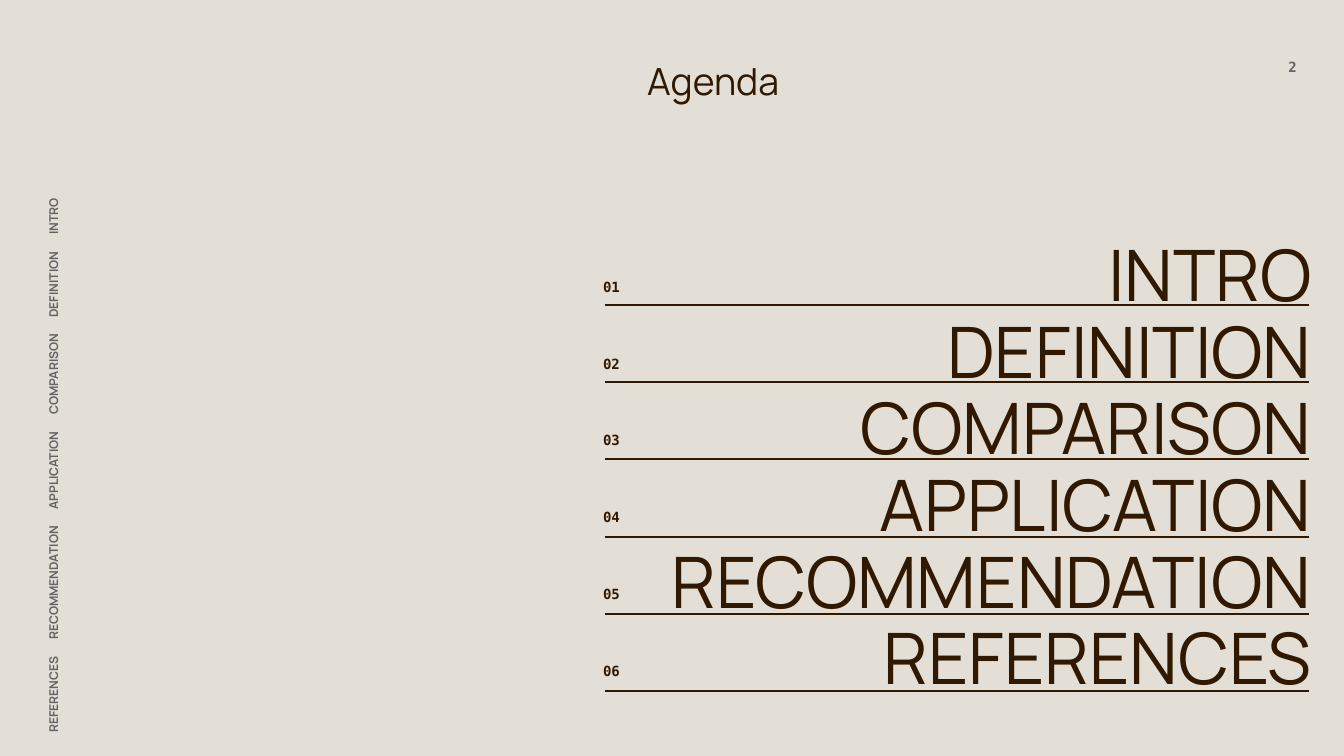
import pptx
import pptx.util
import pptx.dml.color
import pptx.enum.shapes
import pptx.enum.text
import pptx.oxml.ns
from lxml import etree

# Content
HEADING = "Agenda"
PAGE = "2"
SECTIONS = ["INTRO", "DEFINITION", "COMPARISON", "APPLICATION",
            "RECOMMENDATION", "REFERENCES"]
SIDE_TABS = [93, 223, 318, 415, 498]  # where each later side label starts, px

# Style
SANS, MONO = "Manrope", "DejaVu Sans Mono"
SAND, BROWN, GREY = "E3DFD7", "301900", "636363"
SCALE = 914400 / 134.4
ALIGN = pptx.enum.text.PP_ALIGN
ANCHOR = pptx.enum.text.MSO_ANCHOR
qn = pptx.oxml.ns.qn


def px(length):
    return pptx.util.Emu(round(length * SCALE))


def colour(code):
    return pptx.dml.color.RGBColor.from_string(code)


def add_text(box, paragraphs, font, size, ink, bold=False, align=ALIGN.LEFT,
             anchor=ANCHOR.TOP, spacing=1.0, tabs=()):
    """Each paragraph is a list of run texts."""
    area = slide.shapes.add_textbox(*map(px, box))
    frame = area.text_frame
    frame.word_wrap = True
    frame.auto_size = pptx.enum.text.MSO_AUTO_SIZE.NONE
    frame.vertical_anchor = anchor
    frame.margin_left = frame.margin_right = px(13)
    frame.margin_top = frame.margin_bottom = px(13)
    for i, runs in enumerate(paragraphs):
        paragraph = frame.add_paragraph() if i else frame.paragraphs[0]
        paragraph.alignment = align
        paragraph.line_spacing = spacing
        if tabs:
            stops = etree.SubElement(paragraph._p.get_or_add_pPr(), qn("a:tabLst"))
            for stop in tabs:
                etree.SubElement(stops, qn("a:tab"), pos=str(px(stop)), algn="l")
        for words in runs:
            run = paragraph.add_run()
            run.text = words
            run.font.name = font
            run.font.size = pptx.util.Pt(size)
            run.font.bold = bold
            run.font.color.rgb = colour(ink)
    return area


def add_rule(left, right, y):
    rule = slide.shapes.add_connector(
        pptx.enum.shapes.MSO_CONNECTOR.STRAIGHT, px(left), px(y), px(right), px(y))
    rule.line.color.rgb = colour(BROWN)
    rule.line.width = pptx.util.Pt(0.75)
    etree.SubElement(rule._element.spPr, qn("a:effectLst"))


deck = pptx.Presentation()
deck.slide_width, deck.slide_height = px(1344), px(756)
slide = deck.slides.add_slide(deck.slide_layouts[6])
slide.background.fill.solid()
slide.background.fill.fore_color.rgb = colour(SAND)

# Page number and heading
add_text((1247, 38, 63, 58), [[PAGE]], MONO, 7.5, GREY, bold=True,
         align=ALIGN.RIGHT, anchor=ANCHOR.MIDDLE)
add_text((634, 38, 417, 133), [[HEADING]], SANS, 20, BROWN, spacing=1.15)

# Agenda list
add_text((555, 198, 770, 515), [[section] for section in SECTIONS], SANS, 38, BROWN,
         align=ALIGN.RIGHT, anchor=ANCHOR.BOTTOM, spacing=0.9)

# Rule and number for each section
for i in range(len(SECTIONS)):
    add_rule(605, 1309, 305 + round(77.2 * i))
    add_text((590, 267 + round(76.7 * i), 97, 24), [[f"{i + 1:02}"]],
             MONO, 7.5, BROWN, bold=True)

# Vertical section names, read from the bottom up
last, *others = reversed(SECTIONS)
side = add_text((-324, 352, 736, 51), [[last] + ["\t" + name for name in others]],
                SANS, 6.5, GREY, bold=True, spacing=2.0, tabs=SIDE_TABS)
side.rotation = 270

deck.save("out.pptx")
